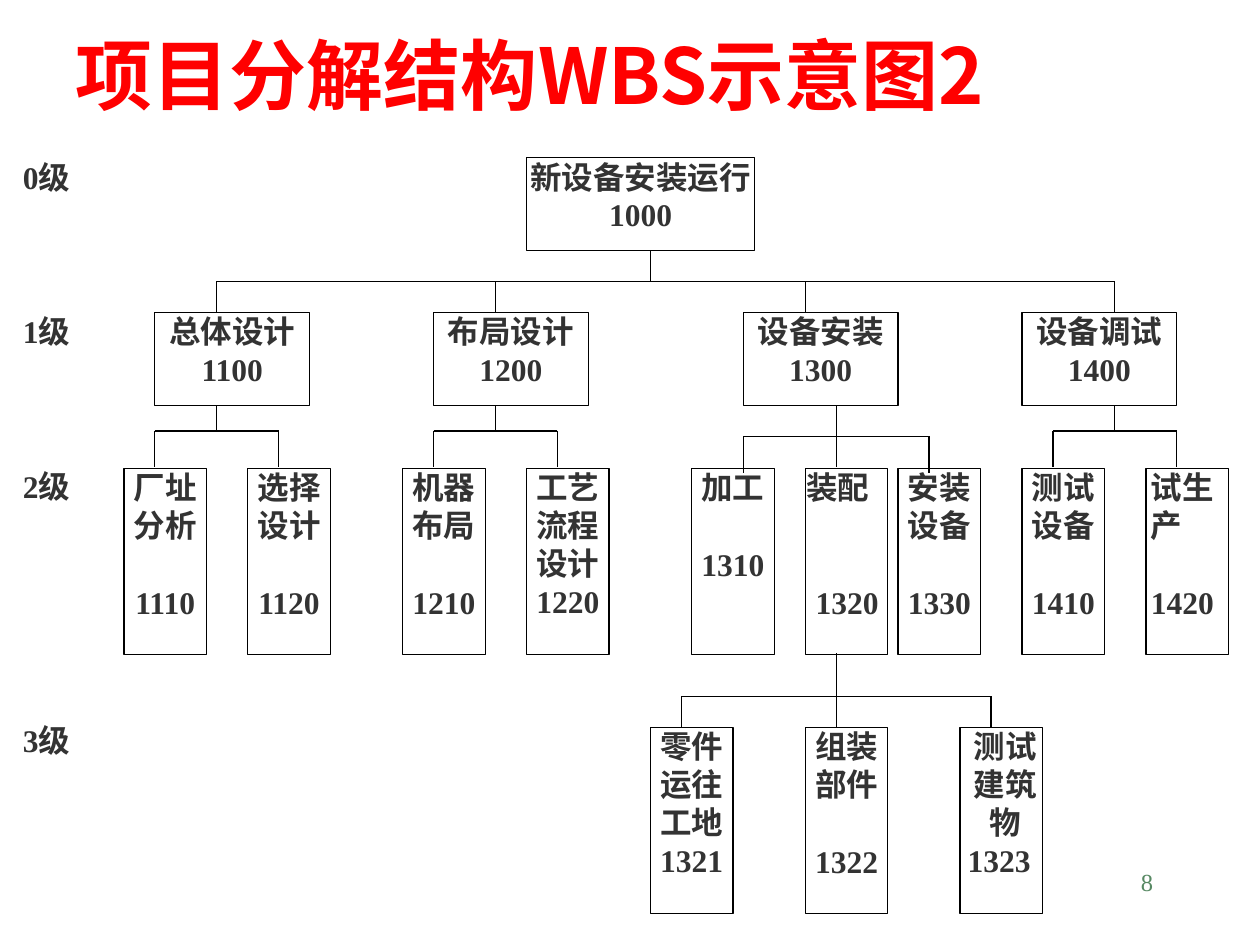
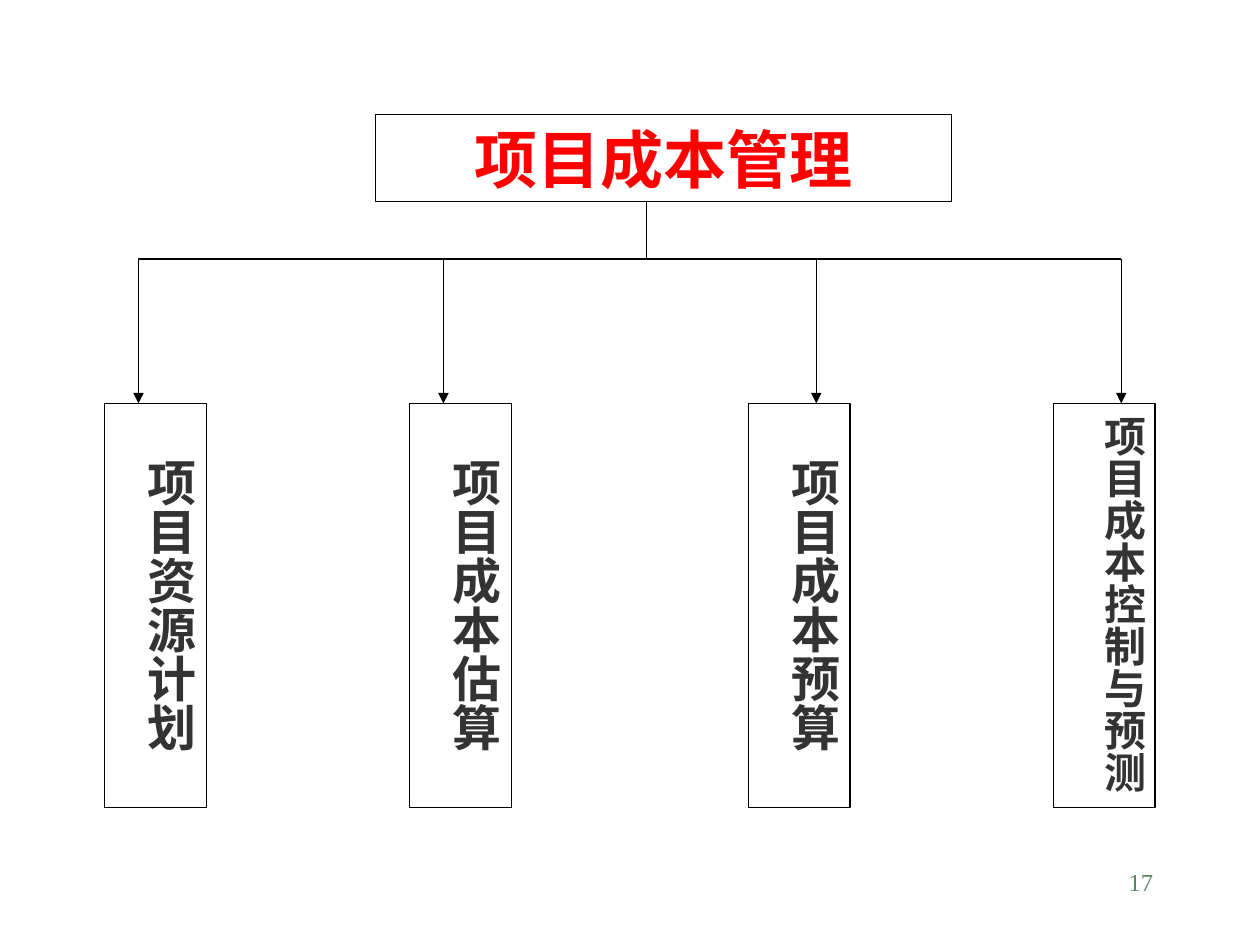
import dataclasses

import pptx
import pptx.dml.color
import pptx.enum.shapes
import pptx.enum.text
import pptx.oxml
import pptx.oxml.ns
import pptx.util

Inches = pptx.util.Inches
Pt = pptx.util.Pt
RGBColor = pptx.dml.color.RGBColor
Align = pptx.enum.text.PP_ALIGN
Anchor = pptx.enum.text.MSO_ANCHOR

RED = RGBColor(0xFF, 0x00, 0x00)
INK = RGBColor(0x33, 0x33, 0x33)
GREEN = RGBColor(0x57, 0x89, 0x63)
BLACK = RGBColor(0x00, 0x00, 0x00)
WHITE = RGBColor(0xFF, 0xFF, 0xFF)
SERIF = "Times New Roman"
HAN = "Noto Sans CJK SC"
LINE_WIDTH = Pt(0.75)
BLANK_LINE = 22
INSETS = (0.1, 0.05, 0.1, 0.05)
NO_INSETS = (0, 0, 0, 0)

LEVELS = [(0, "0级"), (5, "1级"), (10, "2级"), (18.2, "3级")]
PHASES = [(5, "总体设计1100"), (14, "布局设计1200"),
          (24, "设备安装1300"), (33, "设备调试1400")]
TASKS = [(4, ["厂址分析", "1110"], 1), (8, ["选择设计", "1120"], 1),
         (13, ["机器布局", "1210"], 1), (17, ["工艺流程设计1220"], 0),
         (22.33, ["加工", "1310"], 1), (26, ["装配", "1320"], 2),
         (29, ["安装设备", "1330"], 1), (33, ["测试设备", "1410"], 1),
         (37, ["试生", "产", "1420"], 1)]
STEPS = [(21, ["零件运往工地1321"], 0), (26, ["组装部件", "1322"], 1),
         (31, ["测试", "建筑", "物", "1323"], 0)]
COST_PARTS = [(0, 1, "项目资源计划", 28), (9, 10, "项目成本估算", 28),
              (19, 21, "项目成本预算", 28), (28, 30, "项目成本控制与预测", 24)]


@dataclasses.dataclass
class Grid:
    """A region of a slide measured in columns and rows."""
    left: float
    top: float
    column: float
    row: float

    def point(self, column, row):
        """Return the slide position of a grid point."""
        return (Inches(self.left + column * self.column),
                Inches(self.top + row * self.row))

    def area(self, column, row, columns, rows):
        """Return the position and size of a block of cells."""
        return (*self.point(column, row),
                Inches(columns * self.column), Inches(rows * self.row))


def write(box, lines, size, color, align=Align.CENTER, font=SERIF,
          bold=True, insets=NO_INSETS, anchor=Anchor.TOP, gap=0):
    """Fill a box with paragraphs, the last one set off by blank lines."""
    frame = box.text_frame
    frame.word_wrap = True
    frame.auto_size = pptx.enum.text.MSO_AUTO_SIZE.NONE
    frame.vertical_anchor = anchor
    (frame.margin_left, frame.margin_top,
     frame.margin_right, frame.margin_bottom) = map(Inches, insets)
    frame.text = "\n".join(lines)
    for para in frame.paragraphs:
        para.alignment = align
        for span in para.runs:
            span.font.name = font
            span.font.size = Pt(size)
            span.font.bold = bold
            span.font.color.rgb = color
            span.font._element.append(pptx.oxml.parse_xml(
                f'<a:ea {pptx.oxml.ns.nsdecls("a")} typeface="{HAN}"/>'))
    if gap:
        frame.paragraphs[-1].space_before = Pt(gap * BLANK_LINE)


def add_box(page, area, lines, size=18, color=INK, outlined=True, **style):
    """Add a white rectangle with text."""
    box = page.shapes.add_shape(
        pptx.enum.shapes.MSO_SHAPE.RECTANGLE, *area)
    box.shadow.inherit = False
    box.fill.solid()
    box.fill.fore_color.rgb = WHITE
    if outlined:
        box.line.color.rgb = BLACK
        box.line.width = LINE_WIDTH
    else:
        box.line.fill.background()
    write(box, lines, size, color, **style)
    return box


def add_upright_box(page, area, text, size):
    """Add a box whose text runs downwards, centred along its height."""
    lead = round((area[3].inches - len(text) * size / 72) / 2, 2)
    box = add_box(page, area, [text], size, align=Align.LEFT,
                  insets=(0.05, lead, 0.05, 0.1))
    box.element.txBody.bodyPr.set("vert", "eaVert")


def add_line(page, start, end, arrow=False):
    """Add a thin black line, with an arrowhead at its end if asked."""
    line = page.shapes.add_connector(
        pptx.enum.shapes.MSO_CONNECTOR.STRAIGHT, *start, *end)
    line.line.color.rgb = BLACK
    line.line.width = LINE_WIDTH
    space = pptx.oxml.ns.nsdecls("a")
    if arrow:
        line.line._get_or_add_ln().append(
            pptx.oxml.parse_xml(f'<a:tailEnd {space} type="triangle"/>'))
    line.element.spPr.append(pptx.oxml.parse_xml(f"<a:effectLst {space}/>"))


def add_branch(page, grid, trunk, trunk_rows, bus, drops, foot, arrow=False):
    """Draw a trunk, a horizontal bus and the drops hanging from it."""
    add_line(page, *(grid.point(trunk, row) for row in trunk_rows))
    add_line(page, grid.point(drops[0], bus), grid.point(drops[-1], bus))
    for drop in drops:
        add_line(page, grid.point(drop, bus), grid.point(drop, foot), arrow)


def add_number(page, number):
    """Add the slide number at the lower right."""
    box = page.shapes.add_textbox(
        Inches(7.17), Inches(6.83), Inches(2.08), Inches(0.5))
    write(box, [number], 14, GREEN, Align.RIGHT, bold=False, insets=INSETS)


def add_title(page, text):
    """Place and format the title placeholder."""
    title = page.shapes.title
    title.left, title.top = Inches(0.5), Inches(0.25)
    title.width, title.height = Inches(9.17), Inches(0.67)
    write(title, [text], 44, RED, Align.LEFT, HAN,
          insets=INSETS, anchor=Anchor.MIDDLE)


def add_breakdown(page, grid):
    """Draw the work breakdown tree with its level labels."""
    add_box(page, grid.area(17, 0, 7.37, 3), ["新设备安装运行1000"])
    for column, text in PHASES:
        add_box(page, grid.area(column, 5, 5, 3), [text])
    leaves = {}
    for row, nodes in ((10.04, TASKS), (18.4, STEPS)):
        for column, lines, gap in nodes:
            leaves[lines[-1]] = add_box(
                page, grid.area(column, row, 2.67, 6), lines, gap=gap)
    leaves["1320"].text_frame.paragraphs[0].alignment = Align.LEFT
    leaves["1320"].text_frame.margin_left = Inches(0.01)
    for para in leaves["1420"].text_frame.paragraphs:
        para.alignment = Align.JUSTIFY
    leaves["1420"].text_frame.margin_left = Inches(0.04)
    leaves["1323"].text_frame.margin_left = Inches(0.06)
    leaves["1323"].text_frame.paragraphs[-1].alignment = Align.JUSTIFY

    add_branch(page, grid, 21, (3, 4), 4, (7, 16, 26, 36), 5)
    for trunk in (7, 16, 36):
        add_branch(page, grid, trunk, (8, 8.83), 8.83,
                   (trunk - 2, trunk + 2), 10)
    add_branch(page, grid, 27, (8, 10), 9, (24, 30), 10.2)
    add_branch(page, grid, 27, (16, 18.4), 17.4, (22, 32), 18.4)
    for row, text in LEVELS:
        add_box(page, grid.area(0, row, 3, 1.5), [text], outlined=False)


def add_cost_chart(page, grid):
    """Draw the cost management heading over its four upright parts."""
    add_box(page, grid.area(8, 0, 17, 3), ["项目成本管理"], 36, RED,
            insets=INSETS)
    for column, _, text, size in COST_PARTS:
        add_upright_box(page, grid.area(column, 10, 3, 14), text, size)
    drops = [drop for _, drop, _, _ in COST_PARTS]
    add_branch(page, grid, 16 - 1 + 1, (3, 5), 5, drops, 10, arrow=True)


def main():
    """Build both slides and save the deck."""
    deck = pptx.Presentation()
    deck.slide_width, deck.slide_height = Inches(10), Inches(7.5)

    page = deck.slides.add_slide(deck.slide_layouts[5])
    add_title(page, "项目分解结构WBS示意图2")
    add_breakdown(page, Grid(0, 1.25, 9.34 / 38, 5.9 / 24))
    add_number(page, "8")

    page = deck.slides.add_slide(deck.slide_layouts[6])
    add_cost_chart(page, Grid(0.83, 0.91, 7.8 / 29, 5.5 / 24))
    add_number(page, "17")

    deck.save("out.pptx")


if __name__ == "__main__":
    main()
